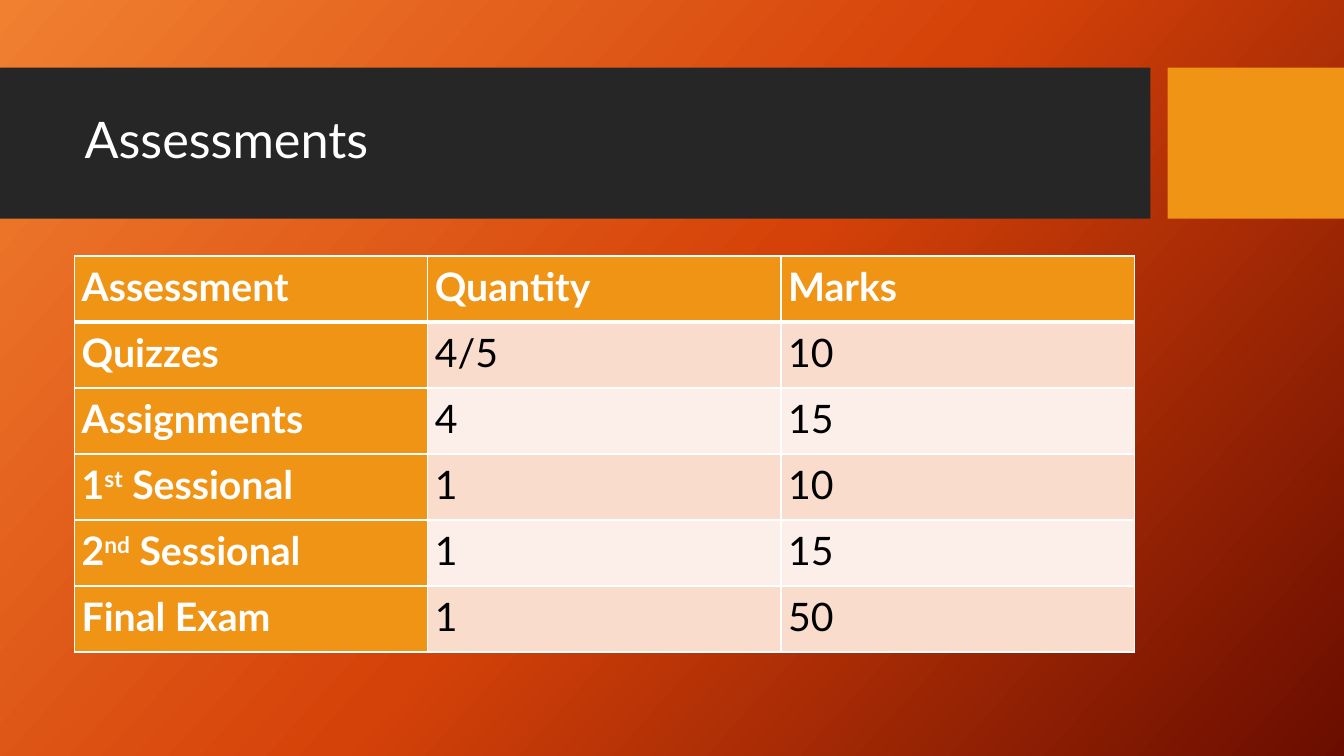
import copy

import pptx
import pptx.dml.color
import pptx.enum.shapes
import pptx.enum.text
import pptx.oxml
import pptx.oxml.ns
import pptx.util

Inches = pptx.util.Inches
Pt = pptx.util.Pt

FONT = "Lato"
WHITE, BLACK, CHARCOAL, ORANGE = "FFFFFF", "000000", "262626", "F09415"
BANDS = ("F9DCCC", "FCEEE8")
BACKGROUND_STOPS = ((0, "F18031"), (0.5, "D54209"), (1, "6A0D00"))

# A tuple in a cell holds base text, superscript, and the text after it.
ASSESSMENTS = (
    ("Assessment", "Quantity", "Marks"),
    ("Quizzes", "4/5", "10"),
    ("Assignments", "4", "15"),
    (("1", "st", " Sessional"), "1", "10"),
    (("2", "nd", " Sessional"), "1", "15"),
    ("Final Exam", "1", "50"),
)


def rgb(color):
    return pptx.dml.color.RGBColor.from_string(color)


def paint_background(slide):
    fill = slide.background.fill
    fill.gradient()
    fill.gradient_angle = 318
    stop_list = slide.element.find(".//" + pptx.oxml.ns.qn("a:gsLst"))
    stop_list.append(copy.deepcopy(stop_list[-1]))
    for stop, (position, color) in zip(fill.gradient_stops, BACKGROUND_STOPS):
        stop.position = position
        stop.color.rgb = rgb(color)


def add_block(slide, left, top, width, height, color):
    block = slide.shapes.add_shape(
        pptx.enum.shapes.MSO_SHAPE.RECTANGLE,
        Inches(left), Inches(top), Inches(width), Inches(height))
    block.shadow.inherit = False
    block.fill.solid()
    block.fill.fore_color.rgb = rgb(color)
    block.line.fill.background()


def format_run(run, size, color, bold=False):
    run.font.name = FONT
    run.font.size = Pt(size)
    run.font.bold = bold
    run.font.color.rgb = rgb(color)


def add_header(slide, left, top, width, height):
    """Dark title band with an orange block at its right end."""
    accent_width, gap = 1.75, 0.17
    band_width = width - accent_width - gap
    add_block(slide, left, top, band_width, height, CHARCOAL)
    add_block(slide, left + band_width + gap, top, accent_width, height, ORANGE)
    title = slide.shapes.add_textbox(
        Inches(left + 0.74), Inches(top + 0.15), Inches(10.51), Inches(1.18))
    frame = title.text_frame
    frame.word_wrap = True
    frame.vertical_anchor = pptx.enum.text.MSO_ANCHOR.MIDDLE
    frame.text = "Assessments"
    frame.paragraphs[0].line_spacing = 0.9
    format_run(frame.paragraphs[0].runs[0], 36, WHITE)


def set_borders(cell, **widths):
    """White borders; widths in points by side: L, R, T, B."""
    properties = cell._tc.get_or_add_tcPr()
    for index, (side, width) in enumerate(widths.items()):
        properties.insert(index, pptx.oxml.parse_xml(
            f'<a:ln{side} {pptx.oxml.ns.nsdecls("a")} w="{Pt(width)}">'
            f'<a:solidFill><a:srgbClr val="{WHITE}"/></a:solidFill></a:ln{side}>'))


def fill_cell(cell, content, fill, color, bold):
    cell.margin_left = cell.margin_right = Inches(0.07)
    cell.margin_top = cell.margin_bottom = 0
    cell.fill.solid()
    cell.fill.fore_color.rgb = rgb(fill)
    paragraph = cell.text_frame.paragraphs[0]
    paragraph.line_spacing = 1.15
    parts = (content,) if isinstance(content, str) else content
    for index, part in enumerate(parts):
        run = paragraph.add_run()
        run.text = part
        format_run(run, 28, color, bold)
        if index == 1:
            run.font._element.set("baseline", "30000")


def add_assessment_table(slide, left, top, width, height):
    rows, columns = len(ASSESSMENTS), len(ASSESSMENTS[0])
    table = slide.shapes.add_table(
        rows, columns, Inches(left), Inches(top), Inches(width), Inches(height)).table
    for row, entries in enumerate(ASSESSMENTS):
        for column, content in enumerate(entries):
            cell = table.cell(row, column)
            is_heading = row == 0 or column == 0
            if is_heading:
                fill_cell(cell, content, ORANGE, WHITE, True)
            else:
                fill_cell(cell, content, BANDS[(row - 1) % 2], BLACK, False)
            set_borders(cell, L=1, R=1, T=3 if row == 1 else 1, B=3 if row == 0 else 1)


def main():
    presentation = pptx.Presentation()
    presentation.slide_width = Inches(13.33)
    presentation.slide_height = Inches(7.5)
    slide = presentation.slides.add_slide(presentation.slide_layouts[6])
    paint_background(slide)
    add_header(slide, 0, 0.67, 13.33, 1.5)
    add_assessment_table(slide, 0.74, 2.54, 10.51, 3.93)
    presentation.save("out.pptx")


if __name__ == "__main__":
    main()
